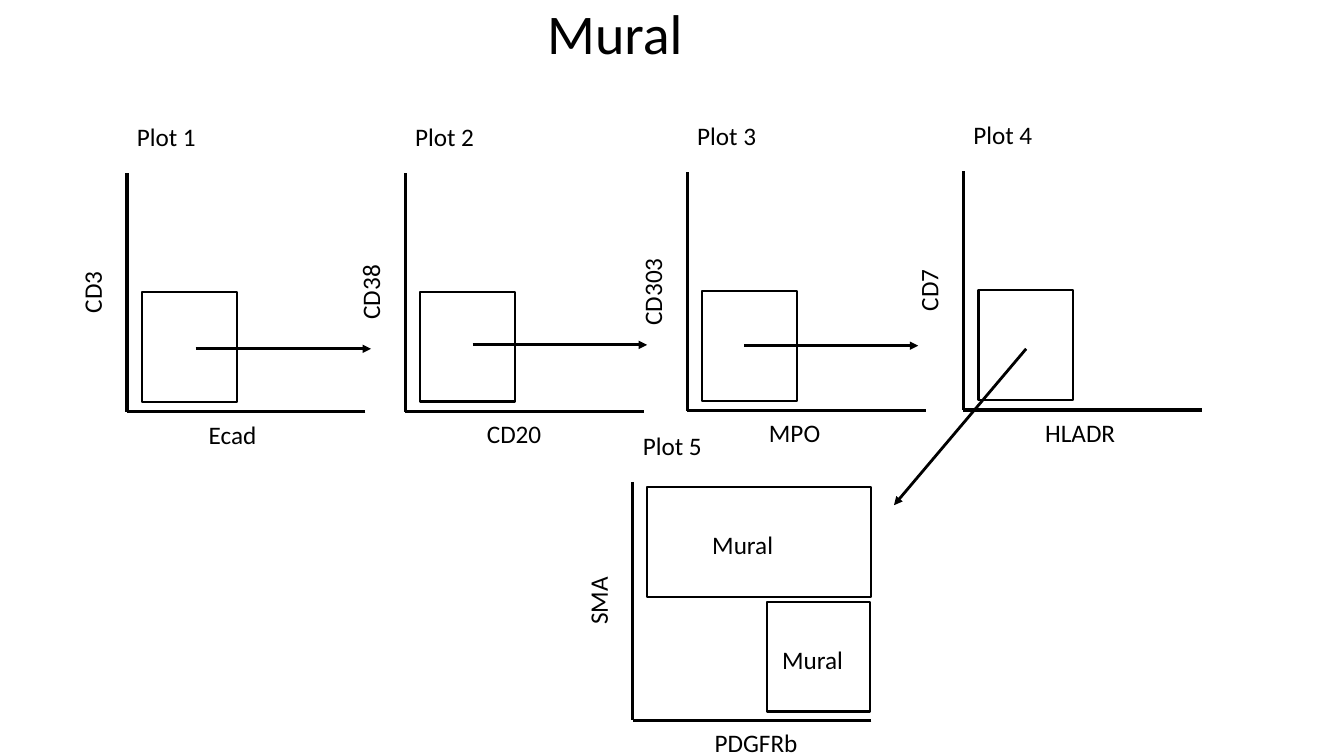
from lxml.etree import SubElement
from pptx import Presentation
from pptx.dml.color import RGBColor
from pptx.enum.shapes import MSO_CONNECTOR, MSO_SHAPE
from pptx.enum.text import MSO_ANCHOR, MSO_AUTO_SIZE, PP_ALIGN
from pptx.oxml.ns import qn
from pptx.util import Cm, Pt

COLORS = {"ink": "000000"}
INK = RGBColor.from_string(COLORS["ink"])
SIDE = 6.01
HIGH = 1.02

deck = Presentation()
deck.slide_width, deck.slide_height = Cm(33.87), Cm(19.05)
slide = deck.slides.add_slide(deck.slide_layouts[5])
shapes = slide.shapes


def label(text, left, top, width, turn=0):
    box = shapes.add_textbox(Cm(left), Cm(top), Cm(width), Cm(HIGH))
    box.rotation = turn
    frame = box.text_frame
    frame.word_wrap = False
    frame.auto_size = MSO_AUTO_SIZE.SHAPE_TO_FIT_TEXT
    frame.text = text
    font = frame.paragraphs[0].font
    font.name, font.size = "Calibri", Pt(18)
    font.color.rgb = INK


def line(parent, ends, weight, arrow=False):
    link = parent.add_connector(MSO_CONNECTOR.STRAIGHT, *map(Cm, ends))
    link.line.color.rgb = INK
    link.line.width = Pt(weight)
    if arrow:
        SubElement(link.line._get_or_add_ln(), qn("a:tailEnd"), type="triangle")
    SubElement(link._element.spPr, qn("a:effectLst"))


title = shapes.title
title.left, title.top, title.width, title.height = Cm(8.84), Cm(0.15), Cm(13.31), Cm(1.52)
frame = title.text_frame
frame.text = "Mural"
frame.auto_size = MSO_AUTO_SIZE.NONE
frame.vertical_anchor = MSO_ANCHOR.MIDDLE
head = frame.paragraphs[0]
head.alignment = PP_ALIGN.CENTER
head.line_spacing = 0.9
head.font.name, head.font.size = "Calibri", Pt(40)
head.font.color.rgb = INK

plots = [
    (3.2, 4.37, "CD3", 1.57, "Ecad", 1.73),
    (10.21, 4.36, "CD38", 1.91, "CD20", 1.91),
    (17.32, 4.34, "CD303", 2.24, "MPO", 1.8),
    (24.28, 4.32, "CD7", 1.57, "HLADR", 2.29),
    (15.95, 12.14, "SMA", 1.73, "PDGFRb", 2.62),
]
gates = [(left + 0.38, top + 2.99, 2.39) for left, top, *rest in plots[:4]]
gates += [(16.31, 12.27, 5.64), (19.33, 15.16, 2.59)]

for count, (left, top, yname, ywide, xname, xwide) in enumerate(plots, 1):
    base = top + SIDE
    axes = shapes.add_group_shape().shapes
    line(axes, (left, top, left, base), 2.25)
    line(axes, (left + SIDE, base, left, base), 2.25)
    label(yname, left - 0.88 - ywide / 2, top + 2.99 - HIGH / 2, ywide, 270)
    label(xname, left + 1.81, base + 0.05, xwide)
    label(f"Plot {count}", left, top - 1.43, 2)

for left, top, width in gates:
    gate = shapes.add_shape(MSO_SHAPE.RECTANGLE, Cm(left), Cm(top), Cm(width), Cm(2.77))
    gate.shadow.inherit = False
    gate.fill.background()
    gate.line.color.rgb = INK
    gate.line.width = Pt(1.5)

for left, top in [(17.7, 13.21), (19.46, 16.1)]:
    label("Mural", left, top, 2.06)

for ends in [
    (4.93, 8.79, 9.35, 8.79),
    (11.91, 8.69, 16.31, 8.69),
    (18.75, 8.71, 23.14, 8.71),
    (25.86, 8.79, 22.53, 12.73),
]:
    line(shapes, ends, 2, True)

deck.save("out.pptx")
